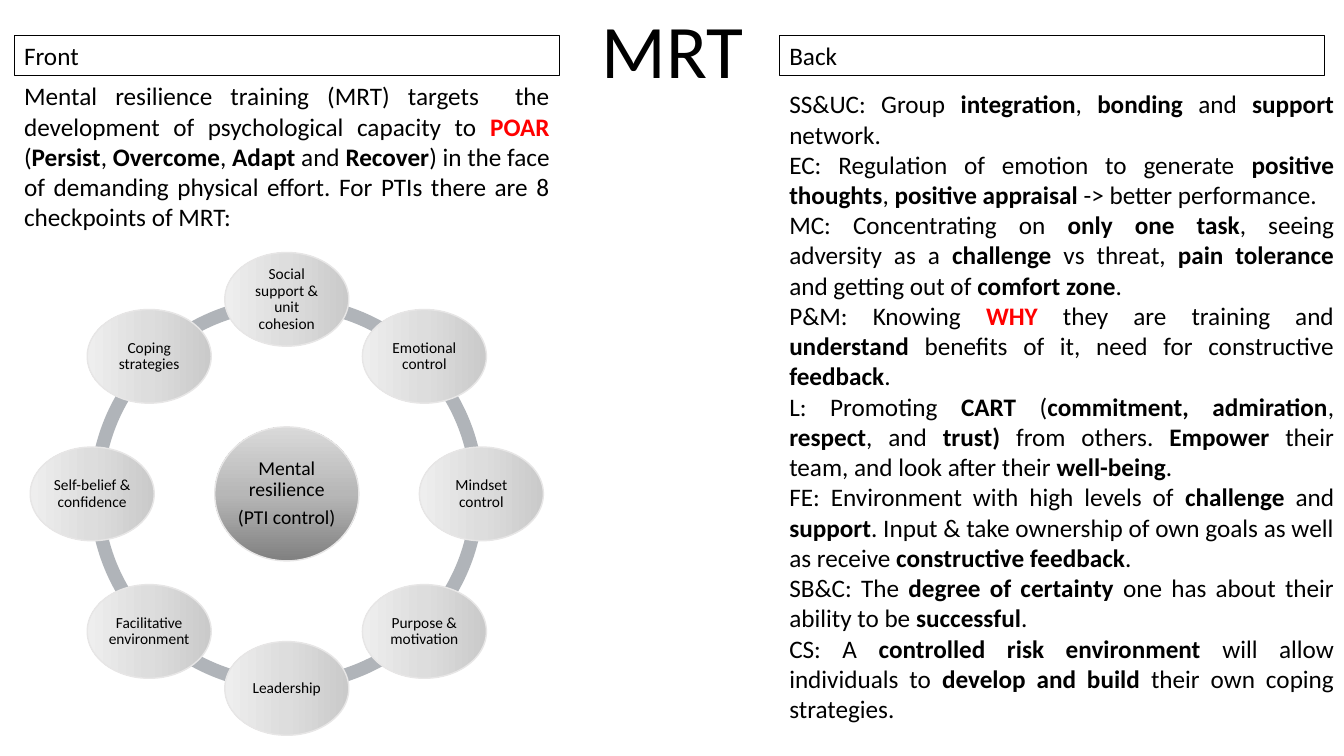
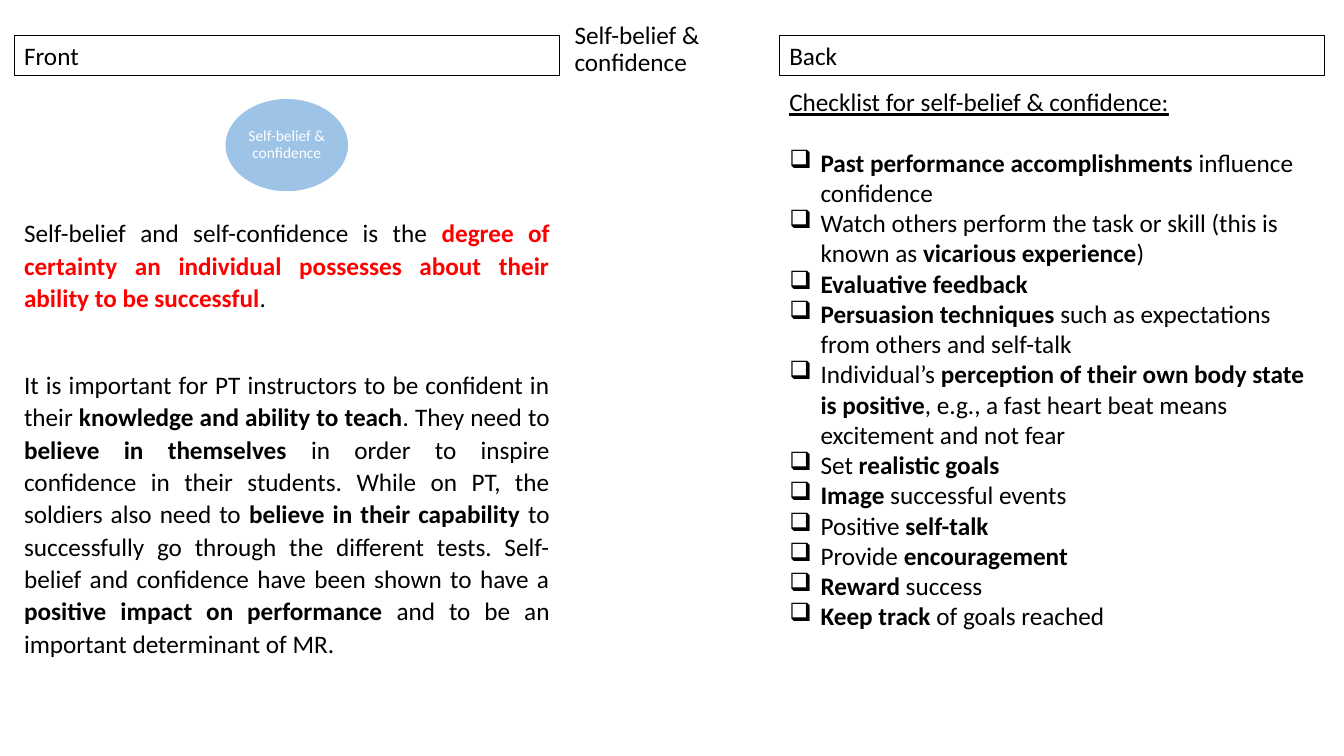
from copy import deepcopy
from dataclasses import dataclass
from math import cos, radians, sin

from pptx import Presentation
from pptx.dml.color import RGBColor
from pptx.enum.shapes import MSO_SHAPE as Shape
from pptx.enum.text import MSO_ANCHOR as Anchor, PP_ALIGN as Align
from pptx.oxml.ns import qn
from pptx.util import Inches, Pt


@dataclass(frozen=True)
class Theme:
    """Colours and type sizes shared by both slides."""
    font: str = "Calibri"
    ink: str = "000000"
    accent: str = "FF0000"
    white: str = "FFFFFF"
    blue: str = "9DC3E6"
    ring: str = "B0B4B9"
    rim: str = "E7E6E6"
    node_shades: tuple = ("CACACA", "DDDDDD", "EEEEEE")
    core_shades: tuple = ("808080", "B7B7B7", "D9D9D9")
    title: int = 54
    body: int = 18
    core: int = 14
    node: int = 11


theme = Theme()
rgb = RGBColor.from_string

deck = Presentation()
deck.slide_width, deck.slide_height = Inches(13.33), Inches(7.5)

FRONT, BACK, COLUMN = 0.14, 7.73, 5.41
NODE_WIDTH, NODE_HEIGHT = 1.23, 0.93
CENTRE_X, CENTRE_Y = FRONT + COLUMN / 2, 4.9
ORBIT, RING = 1.93, 3.91
BULLET_INDENT = Inches(0.31)


def write(slide, box, lines, size=theme.body, align=Align.LEFT, spacing=1.0, after=0, bullet=None):
    """Add a text box; *stars* mark bold text and *!stars* bold accent text."""
    area = slide.shapes.add_textbox(*map(Inches, box))
    frame = area.text_frame
    frame.word_wrap = True
    for number, line in enumerate(lines):
        paragraph = frame.add_paragraph() if number else frame.paragraphs[0]
        paragraph.alignment, paragraph.line_spacing = align, spacing
        paragraph.space_after = Pt(after)
        for part, words in enumerate(line.split("*")):
            if not words:
                continue
            run = paragraph.add_run()
            run.text = words.lstrip("!")
            run.font.name, run.font.size = theme.font, Pt(size)
            run.font.bold = part % 2 == 1
            run.font.color.rgb = rgb(theme.accent if words.startswith("!") else theme.ink)
        if bullet:
            properties = paragraph._p.get_or_add_pPr()
            properties.set("marL", str(BULLET_INDENT))
            properties.set("indent", str(-BULLET_INDENT))
            properties.makeelement(qn("a:buChar"))
            mark = properties.makeelement(qn("a:buChar"), {"char": bullet})
            properties.append(mark)
    return area


def add_oval(slide, x, y, width, height, label, size, shades, angle=180, rim=theme.rim, ink=theme.ink):
    """Add a labelled oval centred on x, y with one flat shade or a gradient."""
    oval = slide.shapes.add_shape(
        Shape.OVAL, Inches(x - width / 2), Inches(y - height / 2), Inches(width), Inches(height))
    oval.shadow.inherit = False
    if len(shades) == 1:
        oval.fill.solid()
        oval.fill.fore_color.rgb = rgb(shades[0])
    else:
        oval.fill.gradient()
        oval.fill.gradient_angle = angle
        stops = oval._element.spPr.find(qn("a:gradFill")).find(qn("a:gsLst"))
        stops.append(deepcopy(stops[0]))
        for step, (stop, shade) in enumerate(zip(oval.fill.gradient_stops, shades)):
            stop.position = step / 2
            stop.color.rgb = rgb(shade)
    oval.line.color.rgb, oval.line.width = rgb(rim), Pt(1)
    frame = oval.text_frame
    frame.text = label
    frame.word_wrap, frame.vertical_anchor = True, Anchor.MIDDLE
    frame.margin_left = frame.margin_right = frame.margin_top = frame.margin_bottom = Inches(0.02)
    for paragraph in frame.paragraphs:
        paragraph.alignment, paragraph.line_spacing = Align.CENTER, 0.9
        font = paragraph.runs[0].font
        font.name, font.size, font.color.rgb = theme.font, Pt(size), rgb(ink)
    return oval


# Titles and the Front and Back bands
cards = []
for topic, box, size, align in (
    ("MRT", (1.67, 0.1, 10, 0.89), theme.title, Align.CENTER),
    ("Self-belief & confidence", (5.6, 0.09, 2.17, 0.72), theme.body, Align.LEFT),
):
    card = deck.slides.add_slide(deck.slide_layouts[6])
    heading = write(card, box, [topic], size, align, spacing=0.9)
    heading.text_frame.vertical_anchor = Anchor.BOTTOM
    for side, left in (("Front", FRONT), ("Back", BACK)):
        band = write(card, (left, 0.35, COLUMN, 0.4), [side])
        band.line.color.rgb, band.line.width = rgb(theme.ink), Pt(0.75)
    cards.append(card)
overview, confidence = cards

# Overview: ring of eight checkpoints
checkpoints = (
    "Social support & unit cohesion", "Emotional control", "Mindset control",
    "Purpose & motivation", "Leadership", "Facilitative environment",
    "Self-belief & confidence", "Coping strategies",
)
STEP = 360 / len(checkpoints)
for index in range(len(checkpoints)):
    arc = overview.shapes.add_shape(
        Shape.BLOCK_ARC, Inches(CENTRE_X - RING / 2), Inches(CENTRE_Y - RING / 2),
        Inches(RING), Inches(RING))
    arc.shadow.inherit = False
    arc.fill.solid()
    arc.fill.fore_color.rgb = rgb(theme.ring)
    arc.line.fill.background()
    # Adjustments hold angles in units of 100000/60000 degrees
    arc.adjustments[0] = index * STEP * 0.6
    arc.adjustments[1] = (index + 1) * STEP % 360 * 0.6
    arc.adjustments[2] = 0.034

core = add_oval(overview, CENTRE_X, CENTRE_Y, 1.43, 1.33, "Mental resilience\n(PTI control)",
                theme.core, theme.core_shades, angle=90)
core.text_frame.paragraphs[0].space_after = Pt(5)
for index, checkpoint in enumerate(checkpoints):
    turn = radians(index * STEP - 90)
    add_oval(overview, CENTRE_X + ORBIT * cos(turn), CENTRE_Y + ORBIT * sin(turn),
             NODE_WIDTH, NODE_HEIGHT, checkpoint, theme.node, theme.node_shades)

write(overview, (BACK, 0.83, 5.6, 6.46), (
    "SS&UC: Group *integration*, *bonding* and *support* network.",
    "EC: Regulation of emotion to generate *positive thoughts*, *positive appraisal* -> better performance.",
    "MC: Concentrating on *only one task*, seeing adversity as a *challenge* vs threat, "
    "*pain tolerance* and getting out of *comfort zone*.",
    "P&M: Knowing *!WHY* they are training and *understand* benefits of it, "
    "need for constructive *feedback*.",
    "L: Promoting *CART* (*commitment, admiration*, *respect*, and *trust)* from others. "
    "*Empower* their team, and look after their *well-being*.",
    "FE: Environment with high levels of *challenge* and *support*. Input & take ownership "
    "of own goals as well as receive *constructive feedback*.",
    "SB&C: The *degree of certainty* one has about their ability to be *successful*.",
    "CS: A *controlled risk environment* will allow individuals to *develop and build* "
    "their own coping strategies.",
), align=Align.JUSTIFY)
write(overview, (FRONT, 0.75, COLUMN, 1.62), (
    "Mental resilience training (MRT) targets  the development of psychological capacity to "
    "*!POAR* (*Persist*, *Overcome*, *Adapt* and *Recover*) in the face of demanding physical "
    "effort. For PTIs there are 8 checkpoints of MRT:",
), align=Align.JUSTIFY)

# Self-belief and confidence: definition and checklist
add_oval(confidence, CENTRE_X, 1.44, NODE_WIDTH, NODE_HEIGHT, "Self-belief & confidence",
         theme.node, (theme.blue,), rim=theme.white, ink=theme.white)
definition = write(confidence, (FRONT, 2.09, COLUMN, 4.52), (
    "Self-belief and self-confidence is the *!degree of certainty an individual possesses "
    "about their ability to be successful*.",
    "It is important for PT instructors to be confident in their *knowledge and ability to "
    "teach*. They need to *believe in themselves* in order to inspire confidence in their "
    "students. While on PT, the soldiers also need to *believe in their capability* to "
    "successfully go through the different tests. Self-belief and confidence have been shown "
    "to have a *positive impact on performance* and to be an important determinant of MR.",
), align=Align.JUSTIFY, spacing=1.07, after=8)
definition.text_frame.paragraphs[0].space_after = Pt(39)

checklist_title = write(confidence, (BACK, 0.81, COLUMN, 0.4),
                        ["Checklist for self-belief & confidence:"])
checklist_title.text_frame.paragraphs[0].runs[0].font.underline = True
write(confidence, (BACK, 1.41, COLUMN, 4.95), (
    "*Past performance accomplishments* influence confidence",
    "Watch others perform the task or skill (this is known as *vicarious experience*)",
    "*Evaluative feedback*",
    "*Persuasion techniques* such as expectations from others and self-talk",
    "Individual’s *perception of their own body state is positive*, e.g., a fast heart beat "
    "means excitement and not fear",
    "Set *realistic goals*",
    "*Image* successful events",
    "Positive *self-talk*",
    "Provide *encouragement*",
    "*Reward* success",
    "*Keep track* of goals reached",
), bullet="❑")

deck.save("out.pptx")
